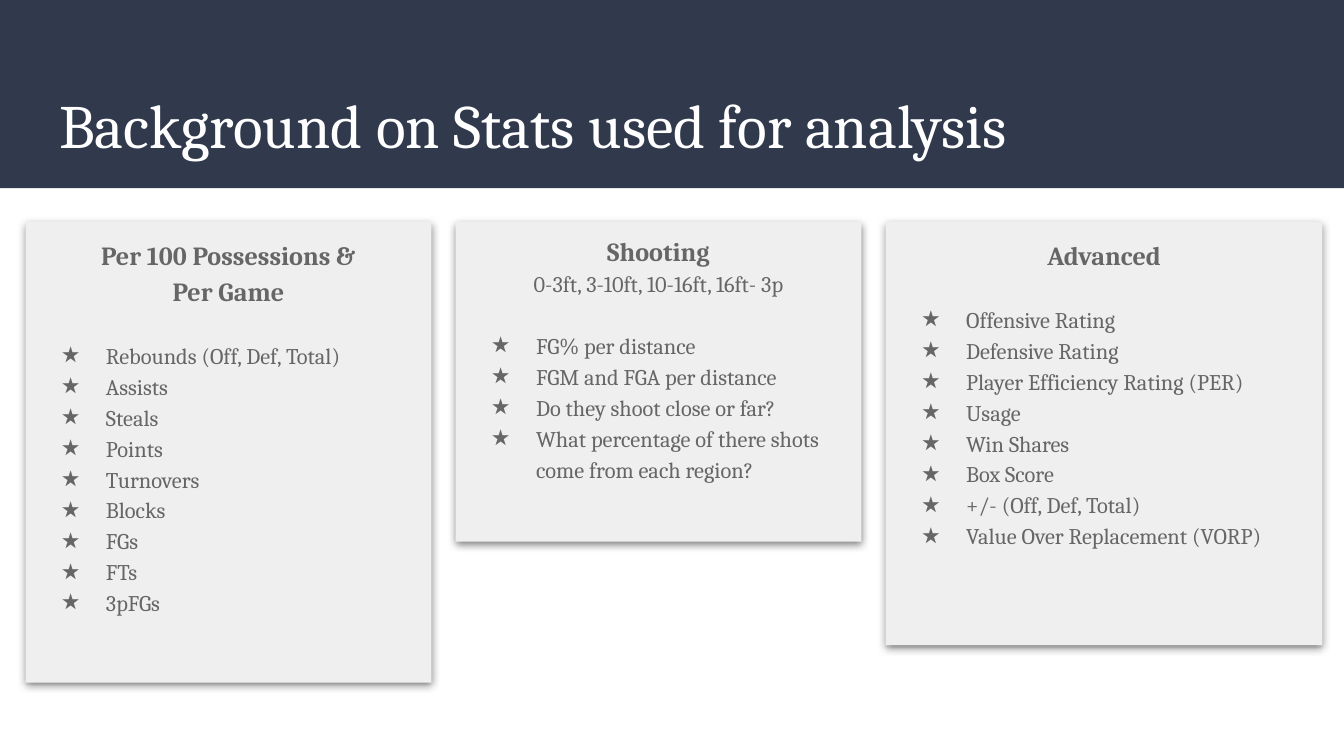
from dataclasses import dataclass

from lxml.etree import SubElement
from pptx import Presentation
from pptx.dml.color import RGBColor
from pptx.enum.shapes import MSO_SHAPE as Shape
from pptx.enum.text import MSO_ANCHOR as Anchor, MSO_AUTO_SIZE as AutoSize, PP_ALIGN as Align
from pptx.oxml.ns import qn
from pptx.util import Inches, Pt


@dataclass(frozen=True)
class Theme:
    font: str = "Cambria"
    navy: str = "31394D"
    white: str = "FFFFFF"
    card: str = "EFEFEF"
    ink: str = "666666"
    title_size: float = 33
    heading_size: float = 14
    body_size: float = 12
    list_gap: float = 16.5
    line_spacing: float = 1.15


THEME = Theme()
WIDTH = 10
HEIGHT = WIDTH * 9 / 16
BAND_HEIGHT = 1.4
CARD_TOP = 1.65
MARGIN, GAP = 0.19, 0.18
COLUMN = 3.02

# Headings, subtitle, list items, width and height of each column's card
CARDS = [
    (["Per 100 Possessions &", "Per Game"], None,
     ["Rebounds (Off, Def, Total)", "Assists", "Steals", "Points", "Turnovers",
      "Blocks", "FGs", "FTs", "3pFGs"], COLUMN, 3.43),
    (["Shooting"], "0-3ft, 3-10ft, 10-16ft, 16ft- 3p",
     ["FG% per distance", "FGM and FGA per distance", "Do they shoot close or far?",
      "What percentage of there shots come from each region?"], COLUMN, 2.38),
    (["Advanced"], None,
     ["Offensive Rating", "Defensive Rating", "Player Efficiency Rating (PER)",
      "Usage", "Win Shares", "Box Score", "+/- (Off, Def, Total)",
      "Value Over Replacement (VORP)"], 3.25, 3.15),
]


def style_text(paragraph, size, color, bold=False):
    for run in paragraph.runs:
        run.font.name = THEME.font
        run.font.size = Pt(size)
        run.font.bold = bold
        run.font.color.rgb = RGBColor.from_string(color)


def set_frame(frame):
    frame.word_wrap = True
    frame.auto_size = AutoSize.NONE
    frame.vertical_anchor = Anchor.TOP
    frame.margin_left = frame.margin_right = Inches(0.1)
    frame.margin_top = frame.margin_bottom = Inches(0.1)


def add_panel(slide, left, top, width, height, color):
    panel = slide.shapes.add_shape(
        Shape.RECTANGLE, *map(Inches, (left, top, width, height)))
    panel.shadow.inherit = False
    panel.fill.solid()
    panel.fill.fore_color.rgb = RGBColor.from_string(color)
    panel.line.fill.background()
    return panel


def add_soft_shadow(panel):
    effects = panel.element.spPr.find(qn("a:effectLst"))
    shadow = SubElement(effects, qn("a:outerShdw"), blurRad=str(Pt(4.5)),
                        dist=str(Pt(1.5)), dir="5400000", algn="bl", rotWithShape="0")
    black = SubElement(shadow, qn("a:srgbClr"), val="000000")
    SubElement(black, qn("a:alpha"), val="50000")


def add_star_bullet(paragraph):
    props = paragraph._p.get_or_add_pPr()
    props.set("marL", str(Inches(0.5)))
    props.set("indent", str(Inches(-0.33)))
    bullet_color = SubElement(props, qn("a:buClr"))
    SubElement(bullet_color, qn("a:srgbClr"), val=THEME.ink)
    SubElement(props, qn("a:buFont"), typeface=THEME.font)
    SubElement(props, qn("a:buChar"), char="★")


def add_title(slide, text):
    band = add_panel(slide, 0, 0, WIDTH, BAND_HEIGHT, THEME.navy)
    title = slide.shapes.title
    title.element.addprevious(band.element)
    title.left, title.top, title.width, title.height = map(
        Inches, (0.34, 0.55, 9.32, 0.68))
    title.text_frame.text = text
    set_frame(title.text_frame)
    heading = title.text_frame.paragraphs[0]
    heading.alignment = Align.LEFT
    style_text(heading, THEME.title_size, THEME.white)


def add_card(slide, left, headings, subtitle, items, width, height):
    card = add_panel(slide, left, CARD_TOP, width, height, THEME.card)
    add_soft_shadow(card)
    frame = card.text_frame
    set_frame(frame)
    intro = headings + ([subtitle] if subtitle else [])
    frame.text = "\n".join(intro + items)
    for index, paragraph in enumerate(frame.paragraphs):
        is_heading = index < len(headings)
        is_item = index >= len(intro)
        tight = is_heading and subtitle
        paragraph.line_spacing = 1.0 if tight else THEME.line_spacing
        paragraph.alignment = Align.LEFT if is_item else Align.CENTER
        if index == len(intro):
            paragraph.space_before = Pt(THEME.list_gap)
        if is_item:
            add_star_bullet(paragraph)
        size = THEME.heading_size if is_heading else THEME.body_size
        style_text(paragraph, size, THEME.ink, bold=is_heading)


def main():
    deck = Presentation()
    deck.slide_width, deck.slide_height = Inches(WIDTH), Inches(HEIGHT)
    slide = deck.slides.add_slide(deck.slide_layouts[5])
    add_title(slide, "Background on Stats used for analysis")
    left = MARGIN
    for headings, subtitle, items, width, height in CARDS:
        add_card(slide, left, headings, subtitle, items, width, height)
        left += width + GAP
    deck.save("out.pptx")


if __name__ == "__main__":
    main()
